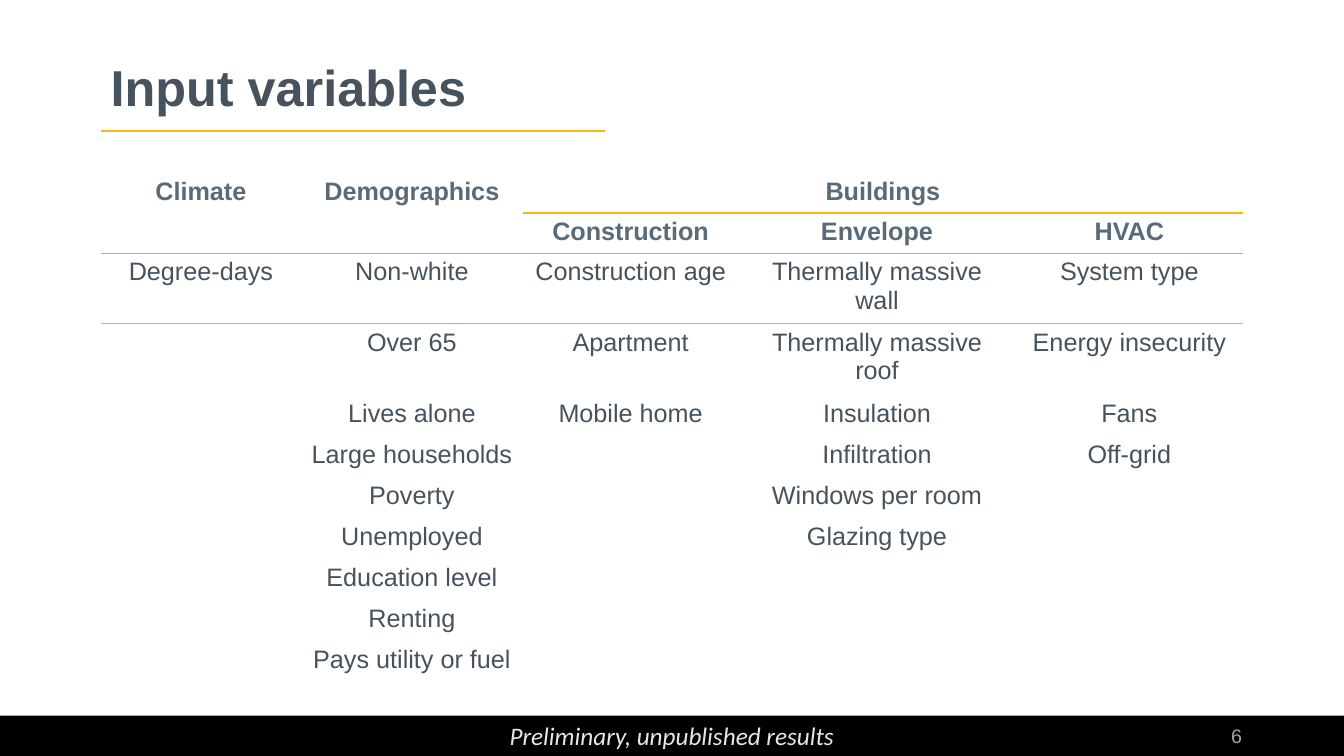
from dataclasses import dataclass

from lxml import etree
from pptx import Presentation
from pptx import util as u
from pptx.dml.color import RGBColor
from pptx.enum import shapes, text
from pptx.oxml import ns


@dataclass(frozen=True)
class Theme:
    font: str = "Arial"
    footer_font: str = "Calibri"
    ink: str = "46535E"
    heading: str = "596A78"
    gold: str = "FDB515"
    rule: str = "B2B2B2"
    band: str = "000000"
    footer: str = "E7E6E6"
    number: str = "A6A6A6"
    title_size: float = 36
    body_size: float = 18
    number_size: float = 14


THEME = Theme()


@dataclass(frozen=True)
class Style:
    color: str
    size: float = THEME.body_size
    font: str = THEME.font
    bold: bool = False
    italic: bool = False
    align: text.PP_ALIGN = text.PP_ALIGN.CENTER


@dataclass(frozen=True)
class Label:
    words: str
    left: float
    top: float
    width: float
    height: float
    style: Style
    anchor: text.MSO_ANCHOR = text.MSO_ANCHOR.MIDDLE
    wrap: bool = True
    line_spacing: float = 1.0


@dataclass(frozen=True)
class Category:
    heading: str
    width: float
    variables: tuple[str, ...]


LEFT, BAND_TOP, BAND_HEIGHT = 72, 511.2, 28.8
HEADER_HEIGHT, ROW_HEIGHT, TALL_HEIGHT = 27.4, 29.3, 47.5
HEADER_ROWS, TALL_ROWS, GROUP_START = 2, 2, 2
GROUP = "Buildings"

CATEGORIES = (
    Category("Climate", 143, ("Degree-days",)),
    Category("Demographics", 158.5, (
        "Non-white", "Over 65", "Lives alone", "Large households", "Poverty",
        "Unemployed", "Education level", "Renting", "Pays utility or fuel")),
    Category("Construction", 154, ("Construction age", "Apartment", "Mobile home")),
    Category("Envelope", 198, (
        "Thermally massive wall", "Thermally massive roof", "Insulation",
        "Infiltration", "Windows per room", "Glazing type")),
    Category("HVAC", 162.5, ("System type", "Energy insecurity", "Fans", "Off-grid")),
)

LABELS = (
    Label("Preliminary, unpublished results", 355.7, BAND_TOP, 248.4, BAND_HEIGHT,
          Style(THEME.footer, font=THEME.footer_font, italic=True),
          anchor=text.MSO_ANCHOR.TOP, wrap=False),
    Label("Input variables", LEFT, 36, 816, 57.6,
          Style(THEME.ink, THEME.title_size, bold=True, align=text.PP_ALIGN.LEFT),
          line_spacing=0.9),
    Label("6", 678.2, BAND_TOP, 216, BAND_HEIGHT,
          Style(THEME.number, THEME.number_size, align=text.PP_ALIGN.RIGHT)),
)


def write(frame, words: str, style: Style, line_spacing: float = 1.0) -> None:
    paragraph = frame.paragraphs[0]
    paragraph.alignment = style.align
    paragraph.line_spacing = line_spacing
    run = paragraph.add_run()
    run.text = words
    run.font.name, run.font.size = style.font, u.Pt(style.size)
    run.font.bold, run.font.italic = style.bold, style.italic
    run.font.color.rgb = RGBColor.from_string(style.color)


def draw_label(slide, label: Label) -> None:
    box = slide.shapes.add_textbox(
        u.Pt(label.left), u.Pt(label.top), u.Pt(label.width), u.Pt(label.height))
    box.text_frame.word_wrap = label.wrap
    box.text_frame.vertical_anchor = label.anchor
    write(box.text_frame, label.words, label.style, label.line_spacing)


def draw_band(slide) -> None:
    band = slide.shapes.add_shape(
        shapes.MSO_SHAPE.RECTANGLE, 0, u.Pt(BAND_TOP), u.Pt(960), u.Pt(BAND_HEIGHT))
    band.shadow.inherit = False
    band.fill.solid()
    band.fill.fore_color.rgb = RGBColor.from_string(THEME.band)
    band.line.fill.background()


def draw_title_rule(slide) -> None:
    title_rule = slide.shapes.add_connector(
        shapes.MSO_CONNECTOR.STRAIGHT, u.Pt(LEFT), u.Pt(93.6), u.Pt(432), u.Pt(93.6))
    title_rule.line.color.rgb = RGBColor.from_string(THEME.gold)
    title_rule.line.width = u.Pt(1)
    etree.SubElement(title_rule._element.spPr, ns.qn("a:effectLst"))


def add_border(cell, side: str, color: str, width: float) -> None:
    border = etree.SubElement(
        cell._tc.get_or_add_tcPr(), ns.qn(f"a:ln{side}"), w=str(u.Pt(width)))
    fill = etree.SubElement(border, ns.qn("a:solidFill"))
    etree.SubElement(fill, ns.qn("a:srgbClr"), val=color)


def draw_variables(slide) -> None:
    row_count = HEADER_ROWS + max(len(c.variables) for c in CATEGORIES)
    heights = [HEADER_HEIGHT] * HEADER_ROWS + [TALL_HEIGHT] * TALL_ROWS
    heights += [ROW_HEIGHT] * (row_count - len(heights))
    table = slide.shapes.add_table(
        row_count, len(CATEGORIES), u.Pt(LEFT), u.Pt(123.1),
        u.Pt(sum(c.width for c in CATEGORIES)), u.Pt(sum(heights))).table
    table.first_row = table.horz_banding = False
    # Plain table style: no fills, no grid
    style_id = table._tbl.tblPr.find(ns.qn("a:tableStyleId"))
    style_id.text = "{2D5ABB26-0587-4C30-8999-92F81FD0307C}"
    for row, height in zip(table.rows, heights):
        row.height = u.Pt(height)

    # Rules under the group heading and under the whole header
    for col in range(len(CATEGORIES)):
        if col >= GROUP_START:
            add_border(table.cell(0, col), "B", THEME.gold, 1.5)
            add_border(table.cell(1, col), "T", THEME.gold, 1.5)
        add_border(table.cell(1, col), "B", THEME.rule, 0.75)
        add_border(table.cell(2, col), "T", THEME.rule, 0.75)
    for cell in table.iter_cells():
        cell.fill.background()

    # Headings, then the variables of each category
    heading = Style(THEME.heading, bold=True)
    table.cell(0, GROUP_START).merge(table.cell(0, len(CATEGORIES) - 1))
    write(table.cell(0, GROUP_START).text_frame, GROUP, heading)
    for col, category in enumerate(CATEGORIES):
        table.columns[col].width = u.Pt(category.width)
        heading_row = 1 if col >= GROUP_START else 0
        if heading_row == 0:
            table.cell(0, col).merge(table.cell(1, col))
        write(table.cell(heading_row, col).text_frame, category.heading, heading)
        for row, variable in enumerate(category.variables, HEADER_ROWS):
            write(table.cell(row, col).text_frame, variable, Style(THEME.ink))


def main() -> None:
    deck = Presentation()
    deck.slide_width, deck.slide_height = u.Pt(960), u.Pt(540)
    slide = deck.slides.add_slide(deck.slide_layouts[6])
    draw_band(slide)
    draw_title_rule(slide)
    for label in LABELS:
        draw_label(slide, label)
    draw_variables(slide)
    deck.save("out.pptx")


if __name__ == "__main__":
    main()
